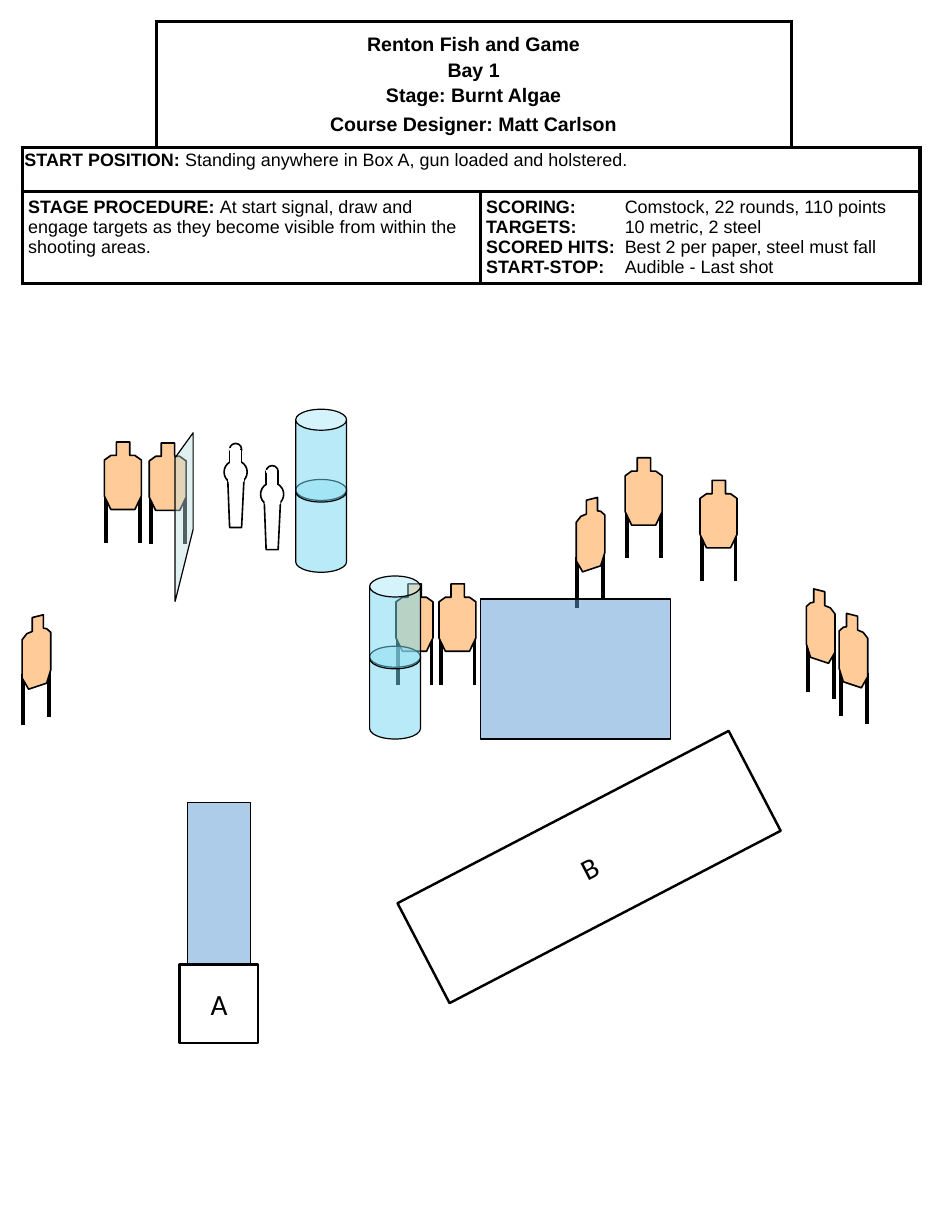
"""Build the one-page stage briefing: description table above the range layout."""
from lxml import etree
from pptx import Presentation
from pptx import util as u
from pptx.dml.color import RGBColor
from pptx.enum import shapes, text
from pptx.oxml.ns import qn

BLACK = RGBColor(0x00, 0x00, 0x00)
WHITE = RGBColor(0xFF, 0xFF, 0xFF)
CARDBOARD = RGBColor(0xFF, 0xCC, 0x99)
BARREL_BLUE = RGBColor(0x73, 0xD9, 0xF1)
POOL_BLUE = RGBColor(0x5B, 0x9B, 0xD5)
WALL_GREEN = RGBColor(0xBB, 0xE0, 0xE3)

RECT = shapes.MSO_SHAPE.RECTANGLE
OVAL = shapes.MSO_SHAPE.OVAL
CAN = shapes.MSO_SHAPE.CAN

HEADING = ["Renton Fish and Game", "Bay 1", "Stage: Burnt Algae",
           "Course Designer: Matt Carlson"]
HEADING_GAPS = [0, 2.4, 2.4, 4.2]
START = ("START POSITION: ", "Standing anywhere in Box A, gun loaded and holstered.")
PROCEDURE = ("STAGE PROCEDURE: ", "At start signal, draw and engage targets as they "
             "become visible from within the shooting areas.")
SCORING = [
    ("SCORING:", "\tComstock, 22 rounds, 110 points"),
    ("TARGETS:", "\t10 metric, 2 steel"),
    ("SCORED HITS:", "\tBest 2 per paper, steel must fall"),
    ("START-STOP:", "\tAudible - Last shot"),
]
COLUMNS = [2.9, 7.01, 6.73, 2.79]
ROWS = [2.74, 0.94, 1.6]

FRONT = {
    "body": [(0.26, 0), (0.55, 0), (0.55, 0.29), (0.66, 0.29), (0.8, 0.39), (0.8, 1.17),
             (0.66, 1.46), (0.14, 1.46), (0, 1.17), (0, 0.39), (0.14, 0.29), (0.26, 0.29)],
    "legs": [(0.04, 1.07, 2.18), (0.77, 1.07, 2.18)],
}
TURNED = {
    "body": [(0.4, 0.06), (0.16, 0), (0.16, 0.29), (0.09, 0.3), (0, 0.38), (0, 1.19),
             (0.09, 1.48), (0.48, 1.61), (0.62, 1.37), (0.62, 0.54), (0.52, 0.41), (0.4, 0.36)],
    "legs": [(0.6, 1.29, 2.39), (0.04, 1.12, 2.22)],
}
TURNED_WIDTH = 0.62
MIRRORED = {
    "body": [(TURNED_WIDTH - x, y) for x, y in TURNED["body"]],
    "legs": [(TURNED_WIDTH - x, top, foot) for x, top, foot in TURNED["legs"]],
}

POPPER_ROUNDS = [(OVAL, 0.12, 0, 0.26, 0.26), (OVAL, 0, 0.37, 0.5, 0.5)]
POPPER_STEM = [(0.08, 0.79), (0.43, 0.79), (0.38, 1.82), (0.12, 1.82)]
POPPER_NECK = (RECT, 0.12, 0.13, 0.26, 0.26)
POPPER_JOINTS = [((0.09, 0.77, 0.34, 0.06), None), ((0.15, 0.36, 0.19, 0.06), WHITE),
                 ((0.13, 0.11, 0.2, 0.03), WHITE)]

BARREL_SIZE = (1.1, 2.01)
BARREL_STEP = 1.52
WALL = [(4.18, 9.37), (4.18, 11.46), (3.79, 13.02), (3.79, 9.91)]
NEAR_POOL = (4.06, 17.37, 1.37, 3.51)
FAR_POOL = (10.4, 12.97, 4.11, 3.03)
BOXES = [("A", (3.89, 20.88, 1.7, 1.7), 0), ("B", (8.71, 17.55, 8.08, 2.44), 332.5)]


def style(shape, fill, line, width, opacity=100):
    shape.shadow.inherit = False
    if fill is None:
        shape.fill.background()
    else:
        shape.fill.solid()
        shape.fill.fore_color.rgb = fill
        if opacity < 100:
            colour = shape._element.spPr.find(qn("a:solidFill"))[0]
            etree.SubElement(colour, qn("a:alpha"), val=str(opacity * 1000))
    if line is None:
        shape.line.fill.background()
    else:
        shape.line.color.rgb = line
        shape.line.width = u.Pt(width)
    return shape


def preset(parent, kind, x, y, w, h, fill, line=BLACK, width=1, opacity=100):
    shape = parent.add_shape(kind, *(u.Cm(v) for v in (x, y, w, h)))
    return style(shape, fill, line, width, opacity)


def outline(parent, points, fill, x=0, y=0, width=1, opacity=100):
    corners = [(u.Cm(x + px), u.Cm(y + py)) for px, py in points]
    builder = parent.build_freeform(*corners[0])
    builder.add_line_segments(corners[1:], close=True)
    return style(builder.convert_to_shape(), fill, BLACK, width, opacity)


def target(parent, pose, x, y):
    group = parent.add_group_shape().shapes
    for leg_x, top, foot in pose["legs"]:
        leg = group.add_connector(shapes.MSO_CONNECTOR.STRAIGHT, u.Cm(x + leg_x),
                                  u.Cm(y + top), u.Cm(x + leg_x), u.Cm(y + foot))
        leg.line.color.rgb = BLACK
        leg.line.width = u.Pt(2.25)
        etree.SubElement(leg._element.spPr, qn("a:effectLst"))
    outline(group, pose["body"], CARDBOARD, x, y)


def popper(parent, x, y):
    group = parent.add_group_shape().shapes
    for kind, dx, dy, w, h in POPPER_ROUNDS:
        preset(group, kind, x + dx, y + dy, w, h, WHITE)
    outline(group, POPPER_STEM, WHITE, x, y)
    kind, dx, dy, w, h = POPPER_NECK
    preset(group, kind, x + dx, y + dy, w, h, WHITE)
    for (dx, dy, w, h), line in POPPER_JOINTS:
        preset(group, RECT, x + dx, y + dy, w, h, WHITE, line)


def barrel_stack(parent, x, y):
    group = parent.add_group_shape().shapes
    for level in (1, 0):
        barrel = preset(group, CAN, x, y + level * BARREL_STEP, *BARREL_SIZE,
                        BARREL_BLUE, width=0.75, opacity=50)
        barrel.adjustments[0] = 0.413


def shooting_box(parent, label, place, turn):
    box = preset(parent, RECT, *place, None, width=1.5)
    box.rotation = turn
    box.text_frame.vertical_anchor = text.MSO_ANCHOR.MIDDLE
    paragraph = box.text_frame.paragraphs[0]
    paragraph.alignment = text.PP_ALIGN.CENTER
    add_run(paragraph, label, 18, False, "Calibri")


def add_run(paragraph, words, size, bold, font="Arial"):
    run = paragraph.add_run()
    run.text = words
    run.font.name, run.font.size, run.font.bold = font, u.Pt(size), bold
    run.font.color.rgb = BLACK


def labelled(paragraph, label, words):
    add_run(paragraph, label, 11, True)
    add_run(paragraph, words, 11, False)


def frame_cell(cell, edges, side, top):
    props = cell._tc.get_or_add_tcPr()
    for edge in "LRTB":
        border = etree.SubElement(props, qn("a:ln" + edge), w=str(u.Pt(2.25)))
        if edge in edges:
            paint = etree.SubElement(border, qn("a:solidFill"))
            etree.SubElement(paint, qn("a:srgbClr"), val=str(BLACK))
        else:
            etree.SubElement(border, qn("a:noFill"))
    cell.fill.solid()
    cell.fill.fore_color.rgb = WHITE
    cell.margin_left = cell.margin_right = u.Cm(side)
    cell.margin_top = cell.margin_bottom = u.Cm(top)


def briefing(parent):
    table = parent.add_table(len(ROWS), len(COLUMNS), u.Cm(0.48), u.Cm(0.46),
                             u.Cm(sum(COLUMNS)), u.Cm(sum(ROWS))).table
    for column, width in zip(table.columns, COLUMNS):
        column.width = u.Cm(width)
    for row, height in zip(table.rows, ROWS):
        row.height = u.Cm(height)
    corners = {(0, 0): "RB", (0, 3): "LB"}
    for r in range(len(ROWS)):
        for c in range(len(COLUMNS)):
            insets = (0.05, 0.1) if r == 1 else (0.13, 0.13)
            frame_cell(table.cell(r, c), corners.get((r, c), "LRTB"), *insets)
    for r, first, last in [(0, 1, 2), (1, 0, 3), (2, 0, 1), (2, 2, 3)]:
        table.cell(r, first).merge(table.cell(r, last))

    heading = table.cell(0, 1)
    heading.vertical_anchor = text.MSO_ANCHOR.MIDDLE
    for i, (words, gap) in enumerate(zip(HEADING, HEADING_GAPS)):
        frame = heading.text_frame
        paragraph = frame.add_paragraph() if i else frame.paragraphs[0]
        paragraph.alignment = text.PP_ALIGN.CENTER
        paragraph.space_before = u.Pt(gap)
        add_run(paragraph, words, 12, True)
    start = table.cell(1, 0).text_frame.paragraphs[0]
    start.line_spacing = 0.9
    labelled(start, *START)
    labelled(table.cell(2, 0).text_frame.paragraphs[0], *PROCEDURE)
    for i, entry in enumerate(SCORING):
        frame = table.cell(2, 2).text_frame
        paragraph = frame.add_paragraph() if i else frame.paragraphs[0]
        tabs = etree.SubElement(paragraph._p.get_or_add_pPr(), qn("a:tabLst"))
        etree.SubElement(tabs, qn("a:tab"), pos=str(u.Cm(3)), algn="l")
        labelled(paragraph, *entry)


def main():
    deck = Presentation()
    deck.slide_width, deck.slide_height = u.Cm(20.32), u.Cm(26.67)
    stage = deck.slides.add_slide(deck.slide_layouts[6]).shapes
    briefing(stage)
    for pose, x, y in [(MIRRORED, 12.47, 10.77), (FRONT, 2.26, 9.57), (FRONT, 3.23, 9.59),
                       (FRONT, 15.15, 10.4), (FRONT, 8.57, 12.64), (FRONT, 13.53, 9.91),
                       (TURNED, 17.45, 12.75), (TURNED, 18.16, 13.28),
                       (FRONT, 9.5, 12.64), (MIRRORED, 0.48, 13.31)]:
        target(stage, pose, x, y)
    outline(stage, WALL, WALL_GREEN, width=0.75, opacity=44)
    for x, y in [(4.85, 9.6), (5.64, 10.08)]:
        popper(stage, x, y)
    for x, y in [(8, 12.47), (6.4, 8.86)]:
        barrel_stack(stage, x, y)
    for pool in (NEAR_POOL, FAR_POOL):
        preset(stage, RECT, *pool, POOL_BLUE, width=0.75, opacity=50)
    for label, place, turn in BOXES:
        shooting_box(stage, label, place, turn)
    deck.save("out.pptx")


if __name__ == "__main__":
    main()
